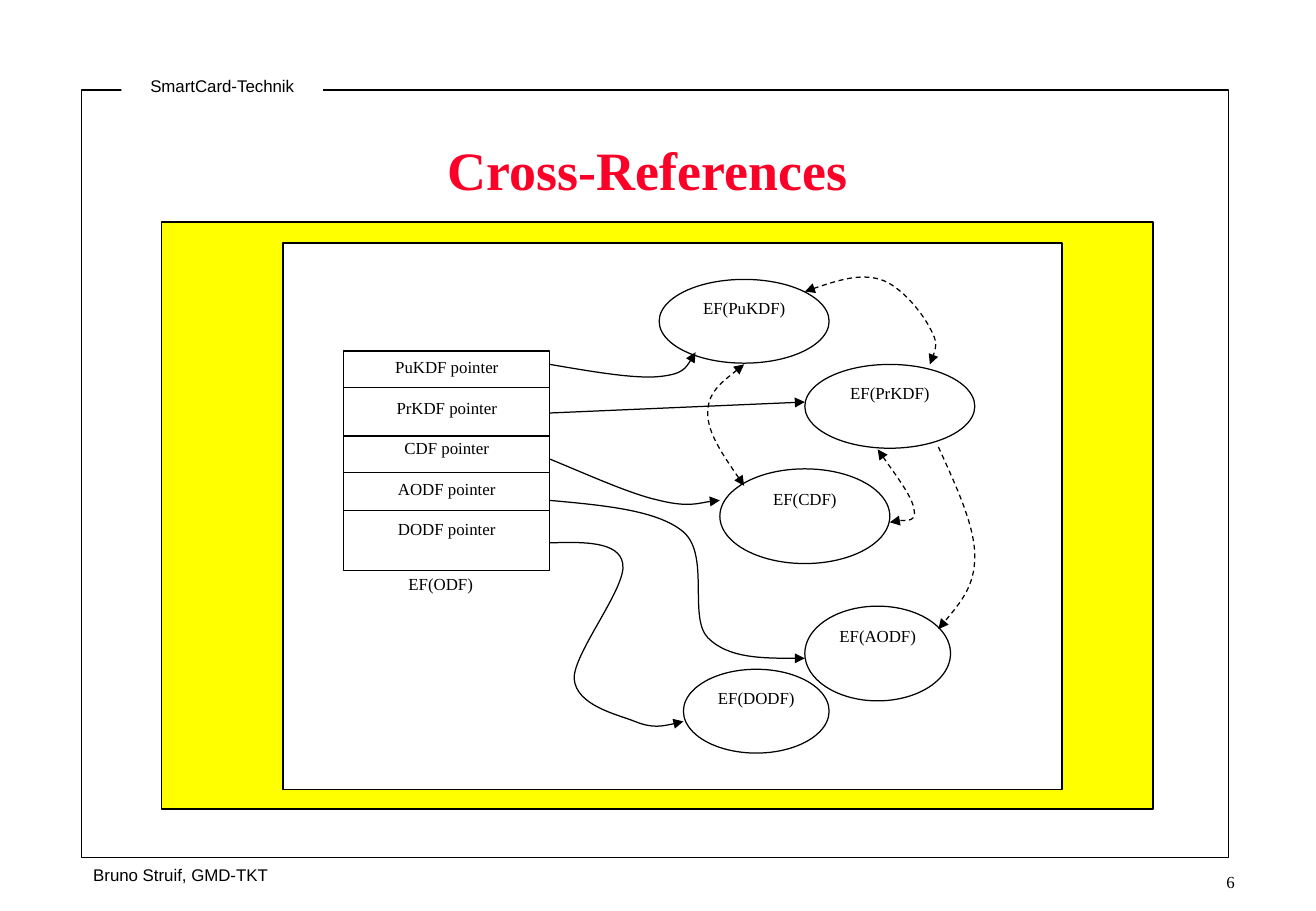
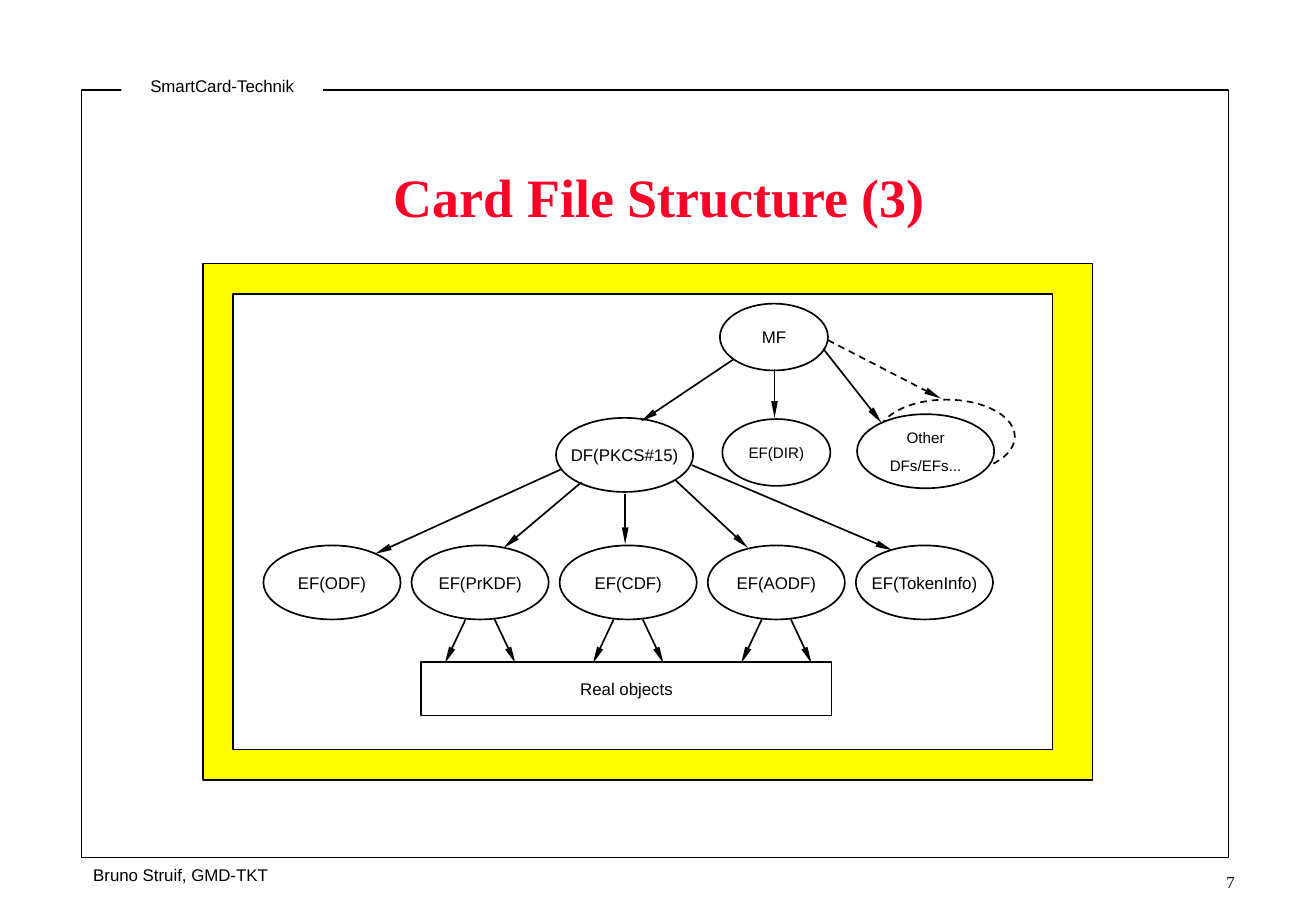
"""Build two smart card slides: cross-references and card file structure."""
import dataclasses

import lxml.etree
import pptx
import pptx.dml.color
import pptx.enum.dml
import pptx.enum.shapes
import pptx.enum.text
import pptx.oxml.ns
import pptx.util

Inches = pptx.util.Inches
RGB = pptx.dml.color.RGBColor
SHAPE = pptx.enum.shapes.MSO_SHAPE
ALIGN = pptx.enum.text.PP_ALIGN
ANCHOR = pptx.enum.text.MSO_ANCHOR
qn = pptx.oxml.ns.qn


@dataclasses.dataclass(frozen=True)
class Theme:
    """Colours, fonts, type sizes and line widths of the deck."""
    ink: RGB = RGB(0x00, 0x00, 0x00)
    paper: RGB = RGB(0xFF, 0xFF, 0xFF)
    panel: RGB = RGB(0xFF, 0xFF, 0x00)
    title: RGB = RGB(0xFC, 0x01, 0x28)
    serif: str = "Times New Roman"
    sans: str = "Arial"
    title_size: int = 32
    text_size: int = 10
    small_size: int = 9
    line: float = 1
    thin: float = 0.75


THEME = Theme()


def write(sp, lines, font=THEME.sans, size=THEME.text_size, color=THEME.ink,
          bold=False, align=ALIGN.CENTER, anchor=ANCHOR.MIDDLE, gap=0, wrap=True):
    """Fill a shape with paragraphs, with a gap in points between them."""
    tf = sp.text_frame
    tf.text = "\n".join(lines)
    tf.word_wrap = wrap
    tf.auto_size = pptx.enum.text.MSO_AUTO_SIZE.NONE
    tf.vertical_anchor = anchor
    for i, p in enumerate(tf.paragraphs):
        p.alignment = align
        if i:
            p.space_before = pptx.util.Pt(gap)
        for r in p.runs:
            r.font.name, r.font.size, r.font.bold = font, pptx.util.Pt(size), bold
            r.font.color.rgb = color


def style_line(sp, width, dash=False, ends=(), head_size=("med", "med")):
    """Set outline width, dash and arrowheads, where ends holds head or tail."""
    sp.line.color.rgb = THEME.ink
    sp.line.width = pptx.util.Pt(width)
    if dash:
        sp.line.dash_style = pptx.enum.dml.MSO_LINE.DASH
    ln = sp.element.spPr.find(qn("a:ln"))
    for end in ends:
        lxml.etree.SubElement(ln, qn(f"a:{end}End"), type="triangle",
                              w=head_size[0], len=head_size[1])


def add_box(s, at, kind=SHAPE.RECTANGLE, fill=THEME.paper, width=THEME.line, dash=False):
    """Add a preset shape; no fill or no width leaves that part out."""
    sp = s.shapes.add_shape(kind, *map(Inches, at))
    sp.shadow.inherit = False
    if fill is None:
        sp.fill.background()
    else:
        sp.fill.solid()
        sp.fill.fore_color.rgb = fill
    if width:
        style_line(sp, width, dash)
    else:
        sp.line.fill.background()
    return sp


def add_oval(s, at, lines, width=THEME.line, **text):
    """Add a labelled ellipse for one card file."""
    write(add_box(s, at, SHAPE.OVAL, width=width), lines, wrap=False, **text)


def add_line(s, start, end, width=THEME.line, **style):
    """Add a straight connector without shadow."""
    cn = s.shapes.add_connector(pptx.enum.shapes.MSO_CONNECTOR.STRAIGHT,
                                *map(Inches, (*start, *end)))
    style_line(cn, width, **style)
    lxml.etree.SubElement(cn.element.spPr, qn("a:effectLst"))


def add_curve(s, points, **style):
    """Add a chain of cubic curves: a start, then three points per curve."""
    start, *rest = [tuple(map(Inches, point)) for point in points]
    builder = s.shapes.build_freeform(*start)
    builder.add_line_segments(rest, close=False)
    sp = builder.convert_to_shape()
    sp.shadow.inherit = False
    sp.fill.background()
    style_line(sp, THEME.thin, **style)
    segments = list(sp.element.iter(qn("a:lnTo")))
    for i in range(0, len(segments), 3):
        curve = lxml.etree.Element(qn("a:cubicBezTo"))
        segments[i].addprevious(curve)
        for segment in segments[i:i + 3]:
            curve.append(segment[0])
            segment.getparent().remove(segment)


def add_text(s, at, text, **style):
    """Add a one-line text box."""
    write(s.shapes.add_textbox(*map(Inches, at)), [text], wrap=False, **style)


def add_slide(prs, title, title_at, number, panel, canvas):
    """Add a slide with page frame, title, yellow panel and white canvas."""
    s = prs.slides.add_slide(prs.slide_layouts[5])
    add_box(s, (0.67, 0.74, 9.45, 6.32), fill=None)
    add_text(s, (0.67, 7.07, 1.64, 0.26), "Bruno Struif, GMD-TKT", align=ALIGN.LEFT)
    add_text(s, (9.49, 7.13, 0.78, 0.26), str(number), font=THEME.serif, align=ALIGN.RIGHT)
    write(add_box(s, (1, 0.58, 1.66, 0.26), width=0), ["SmartCard-Technik"])
    add_box(s, panel, fill=THEME.panel)
    add_box(s, canvas)
    sp = s.shapes.title
    sp.left, sp.top, sp.width, sp.height = map(Inches, (*title_at, 8.71, 1.06))
    write(sp, [title], THEME.serif, THEME.title_size, THEME.title, bold=True)
    return s


def build_cross_references(prs):
    """Draw the pointer list and the files that it refers to."""
    s = add_slide(prs, "Cross-References", (0.98, 0.86), 6,
                  (1.33, 1.83, 8.17, 4.83), (2.33, 2, 6.42, 4.5))
    for name, at in (
        ("PrKDF", (6.63, 3, 1.4, 0.69)),
        ("AODF", (6.63, 4.99, 1.2, 0.78)),
        ("CDF", (5.93, 3.86, 1.4, 0.78)),
        ("DODF", (5.63, 5.51, 1.2, 0.69)),
        ("PuKDF", (5.43, 2.3, 1.4, 0.69)),
    ):
        add_oval(s, at, [f"EF({name})"], THEME.thin, font=THEME.serif, anchor=ANCHOR.TOP)

    left, right = 2.83, 4.53
    pointers = [f"{name} pointer" for name in ("PuKDF", "PrKDF", "CDF", "AODF", "DODF")]
    write(add_box(s, (left, 2.89, right - left, 1.81), width=THEME.thin), pointers,
          font=THEME.serif, anchor=ANCHOR.TOP, gap=12)
    for y in (3.19, 3.59, 3.89, 4.2):
        add_line(s, (left, y), (right, y), THEME.thin)
    add_text(s, (3.13, 4.67, 1, 0.4), "EF(ODF)", font=THEME.serif, anchor=ANCHOR.TOP)

    add_line(s, (right, 3.4), (6.63, 3.31), THEME.thin, ends=["tail"])
    for points in (
        [(right, 3), (4.88, 3.06), (5.23, 3.12), (5.43, 3.1),
         (5.63, 3.08), (5.68, 2.99), (5.73, 2.9)],
        [(right, 3.78), (4.87, 3.92), (5.2, 4.07), (5.43, 4.12),
         (5.67, 4.18), (5.85, 4.12), (5.93, 4.12)],
        [(right, 4.12), (4.97, 4.16), (5.42, 4.2), (5.63, 4.38),
         (5.85, 4.57), (5.67, 5.08), (5.83, 5.25),
         (6, 5.42), (6.32, 5.42), (6.63, 5.42)],
        [(right, 4.47), (4.82, 4.46), (5.1, 4.46), (5.13, 4.64),
         (5.17, 4.83), (4.72, 5.38), (4.73, 5.59),
         (4.75, 5.81), (5.08, 5.88), (5.23, 5.94),
         (5.38, 6), (5.51, 5.97), (5.63, 5.94)],
    ):
        add_curve(s, points, ends=["tail"])

    add_curve(s, [(7.73, 3.68), (7.88, 4.01), (8.03, 4.33), (8.03, 4.58),
                  (8.03, 4.83), (7.88, 5), (7.73, 5.18)], dash=True, ends=["tail"])
    for points in (
        [(7.23, 3.7), (7.37, 3.9), (7.52, 4.1), (7.53, 4.2),
         (7.55, 4.3), (7.37, 4.28), (7.33, 4.3)],
        [(6.63, 2.4), (6.86, 2.32), (7.08, 2.25), (7.25, 2.3),
         (7.42, 2.35), (7.6, 2.58), (7.66, 2.7),
         (7.73, 2.82), (7.7, 2.91), (7.66, 3)],
        [(6.13, 3), (5.98, 3.12), (5.83, 3.23), (5.83, 3.4),
         (5.83, 3.57), (5.98, 3.78), (6.13, 4)],
    ):
        add_curve(s, points, dash=True, ends=["head", "tail"])


def build_file_structure(prs):
    """Draw the tree of card files down to the real objects."""
    s = add_slide(prs, "Card File Structure (3)", (1.08, 1.08), 7,
                  (1.67, 2.17, 7.33, 4.25), (1.92, 2.42, 6.75, 3.75))
    narrow, wide = (0.89, 0.55), (1.13, 0.61)
    arrow = {"ends": ["tail"], "head_size": ("sm", "lg")}

    add_box(s, (7.23, 3.29, *wide), SHAPE.OVAL, fill=None, dash=True)
    add_oval(s, (5.93, 2.5, *narrow), ["MF"])
    add_oval(s, (5.95, 3.45, *narrow), ["EF(DIR)"], size=THEME.small_size)
    add_oval(s, (7.06, 3.41, *wide), ["Other", "DFs/EFs..."], size=THEME.small_size, gap=5.6)
    add_oval(s, (4.58, 3.44, *wide), ["DF(PKCS#15)"])
    write(add_box(s, (3.47, 5.45, 3.38, 0.44)), ["Real objects"])

    for i, name in enumerate(("ODF", "PrKDF", "CDF", "AODF", "TokenInfo")):
        x = 2.17 + 1.22 * i
        add_oval(s, (x, 4.49, *wide), [f"EF({name})"])
        if name in ("PrKDF", "CDF", "AODF"):
            center = x + wide[0] / 2
            for side in (-1, 1):
                add_line(s, (center + 0.12 * side, 5.1), (center + 0.29 * side, 5.46), **arrow)

    for start, end in (
        ((6.04, 2.96), (5.28, 3.47)),
        ((6.38, 3.04), (6.38, 3.44)),
        ((6.78, 2.87), (7.26, 3.48)),
        ((4.63, 3.86), (3.09, 4.56)),
        ((4.79, 3.97), (4.15, 4.51)),
        ((5.15, 4.07), (5.15, 4.48)),
        ((5.56, 3.95), (6.16, 4.51)),
        ((5.7, 3.83), (7.35, 4.53)),
    ):
        add_line(s, start, end, **arrow)
    add_line(s, (6.82, 2.8), (7.75, 3.28), dash=True, **arrow)


def main():
    """Build and save the deck."""
    prs = pptx.Presentation()
    prs.slide_width, prs.slide_height = Inches(10.84), Inches(7.5)
    build_cross_references(prs)
    build_file_structure(prs)
    prs.save("out.pptx")


if __name__ == "__main__":
    main()
